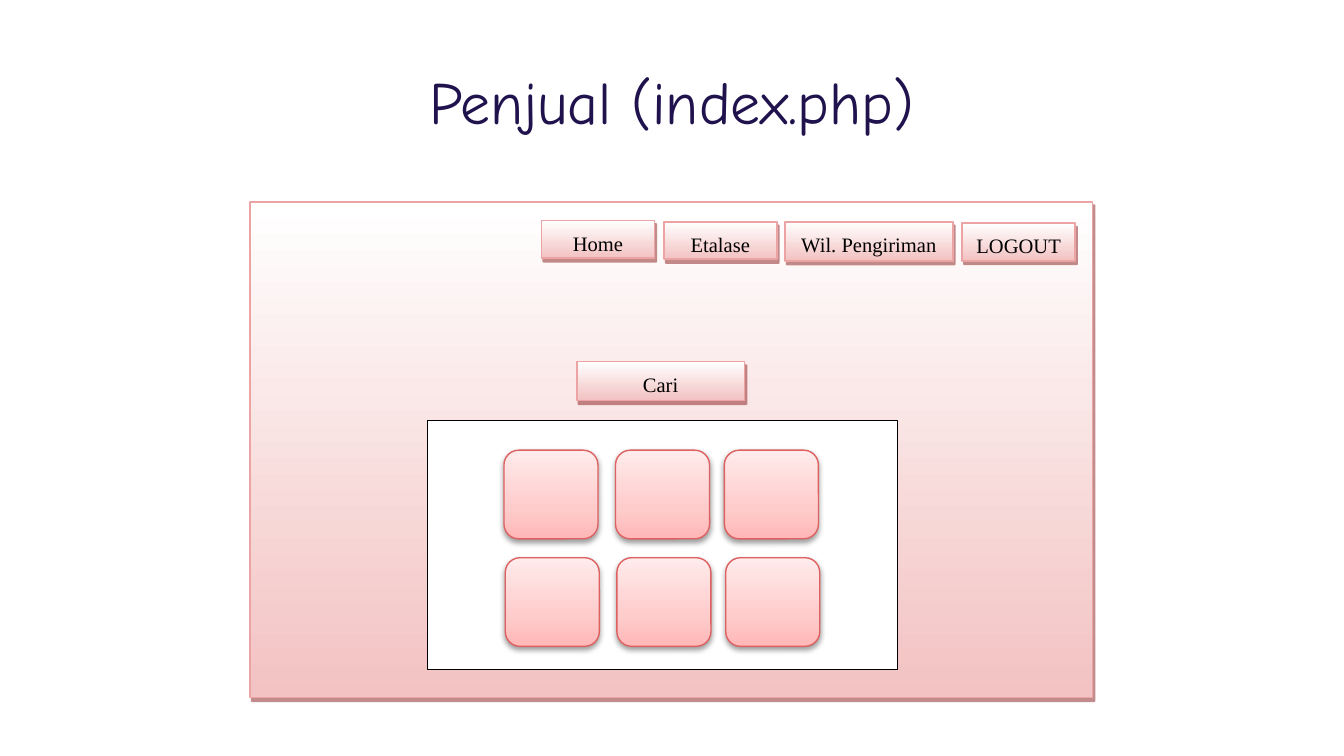
"""Build the wireframe slide for the seller's index page."""
from lxml import etree
from pptx import Presentation
from pptx.dml.color import RGBColor
from pptx.enum.shapes import MSO_SHAPE
from pptx.enum.text import MSO_ANCHOR, MSO_AUTO_SIZE, PP_ALIGN
from pptx.oxml.ns import qn
from pptx.util import Inches, Pt

RECTANGLE, ROUNDED = MSO_SHAPE.RECTANGLE, MSO_SHAPE.ROUNDED_RECTANGLE
TOP, MIDDLE = MSO_ANCHOR.TOP, MSO_ANCHOR.MIDDLE
CENTER, NO_AUTOFIT = PP_ALIGN.CENTER, MSO_AUTO_SIZE.NONE
COLORS = {
    "title": "20124D", "black": "000000", "white": "FFFFFF",
    "panel": "F3C2C2", "panel_line": "ECA3A3", "panel_shadow": "881B1B",
    "card_dark": "FFB7B7", "card_mid": "FFCCCC", "card_light": "FFEBEB",
    "card_line": "DE6161",
}


def rgb(name):
    return RGBColor.from_string(COLORS[name])


def write_text(frame, text, font, size, color, line_spacing, space_after=0):
    paragraph = frame.paragraphs[0]
    paragraph.text = text
    paragraph.alignment = CENTER
    paragraph.line_spacing = line_spacing
    paragraph.space_before = Pt(0)
    paragraph.space_after = Pt(space_after)
    paragraph.font.name = font
    paragraph.font.size = Pt(size)
    paragraph.font.color.rgb = rgb(color)


def add_color(parent, name):
    return etree.SubElement(parent, qn("a:srgbClr"), val=COLORS[name])


def set_gradient(shape, stops, angle):
    shape.fill.gradient()
    shape.fill.gradient_angle = angle
    stop_list = shape._element.spPr.find(".//" + qn("a:gsLst"))
    for stop in list(stop_list):
        stop_list.remove(stop)
    for position, name in stops:
        stop = etree.SubElement(stop_list, qn("a:gs"), pos=str(position * 1000))
        add_color(stop, name)


def set_shadow(shape, color, opacity, blur, distance, direction):
    effects = shape._element.spPr.find(qn("a:effectLst"))
    shadow = etree.SubElement(
        effects, qn("a:outerShdw"), blurRad=str(Pt(blur)), dist=str(Pt(distance)),
        dir=str(direction * 60000), algn="ctr", rotWithShape="0")
    etree.SubElement(add_color(shadow, color), qn("a:alpha"), val=str(opacity * 1000))


class Wireframe:
    """Hold the style and the current slide."""

    title_font = "Comic Neue"
    label_font = "Times New Roman"

    def __init__(self, presentation):
        self.slide = presentation.slides.add_slide(presentation.slide_layouts[5])
        self.shapes = self.slide.shapes.add_group_shape().shapes

    def title(self, text, left, top, width, height):
        shape = self.slide.shapes.title
        shape.left, shape.top = Inches(left), Inches(top)
        shape.width, shape.height = Inches(width), Inches(height)
        frame = shape.text_frame
        frame.auto_size = NO_AUTOFIT
        frame.vertical_anchor = MIDDLE
        frame.margin_left = frame.margin_right = Inches(0.1)
        frame.margin_top = frame.margin_bottom = Inches(0.1)
        write_text(frame, text, self.title_font, 32, "title", line_spacing=0.8)

    def box(self, kind, left, top, width, height, line, line_width):
        shape = self.shapes.add_shape(
            kind, Inches(left), Inches(top), Inches(width), Inches(height))
        shape.shadow.inherit = False
        shape.line.color.rgb = rgb(line)
        shape.line.width = Pt(line_width)
        return shape

    def panel(self, left, top, width, height):
        shape = self.box(RECTANGLE, left, top, width, height, "panel_line", 1)
        set_gradient(shape, [(0, "white"), (100, "panel")], 270)
        set_shadow(shape, "panel_shadow", 50, 0, 2.2, 63)
        return shape

    def button(self, text, left, top, width, height):
        frame = self.panel(left, top, width, height).text_frame
        frame.vertical_anchor = TOP
        write_text(frame, text, self.label_font, 11, "black",
                   line_spacing=1.15, space_after=10)

    def content_area(self, left, top, width, height):
        shape = self.box(RECTANGLE, left, top, width, height, "black", 0.75)
        shape.fill.solid()
        shape.fill.fore_color.rgb = rgb("white")

    def card(self, left, top):
        shape = self.box(ROUNDED, left, top, 0.7, 0.66, "card_line", 0.75)
        set_gradient(
            shape, [(0, "card_dark"), (35, "card_mid"), (100, "card_light")], 90)
        set_shadow(shape, "black", 38, 3.1, 1.6, 90)


def main():
    presentation = Presentation()
    presentation.slide_width = Inches(10)
    presentation.slide_height = presentation.slide_width * 9 // 16
    wireframe = Wireframe(presentation)
    wireframe.title("Penjual (index.php)", 0.78, 0.48, 8.44, 0.63)
    wireframe.panel(1.86, 1.5, 6.27, 3.69)
    wireframe.content_area(3.18, 3.13, 3.5, 1.85)
    for text, left, top, width, height in (
        ("Home", 4.03, 1.64, 0.84, 0.28),
        ("Wil. Pengiriman", 5.84, 1.65, 1.25, 0.29),
        ("Etalase", 4.94, 1.65, 0.84, 0.28),
        ("LOGOUT", 7.16, 1.66, 0.84, 0.28),
        ("Cari", 4.29, 2.69, 1.25, 0.29),
    ):
        wireframe.button(text, left, top, width, height)
    for top, shift in ((3.35, 0), (4.15, 0.01)):
        for left in (3.75, 4.58, 5.39):
            wireframe.card(left + shift, top)
    presentation.save("out.pptx")


if __name__ == "__main__":
    main()
